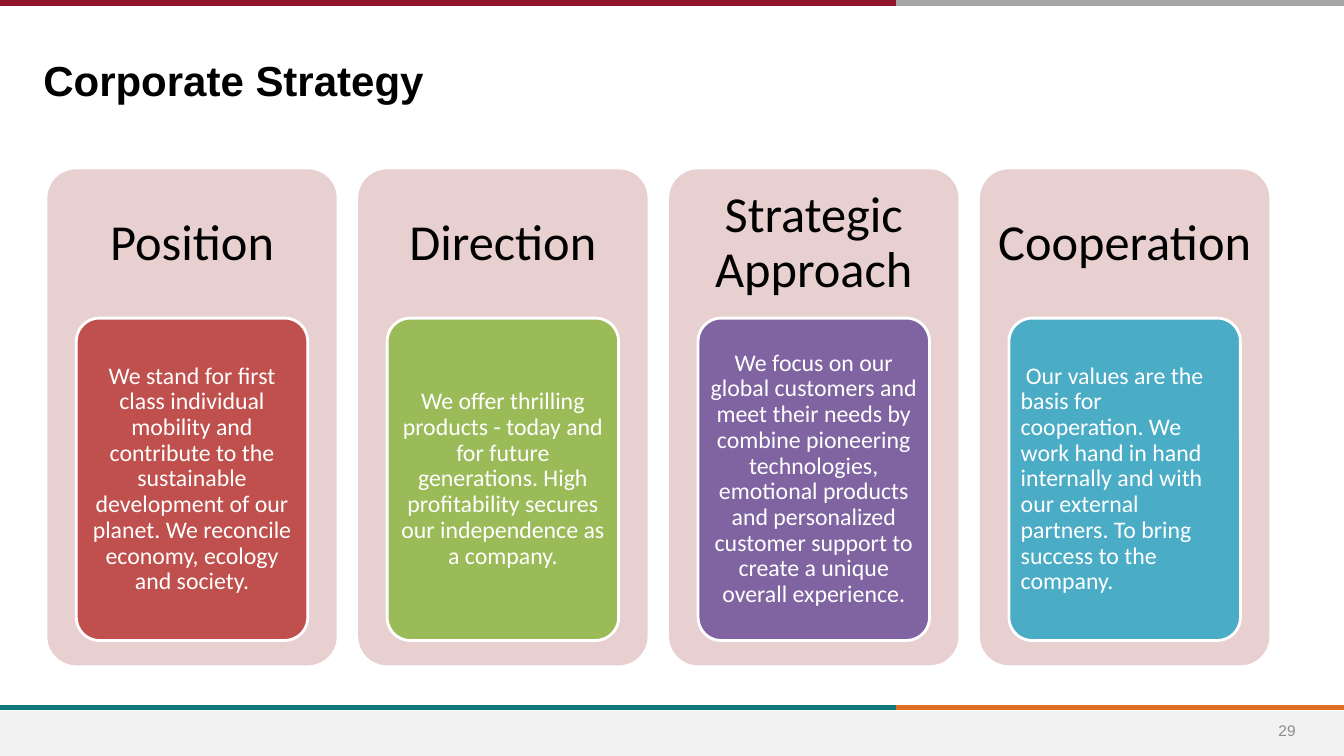
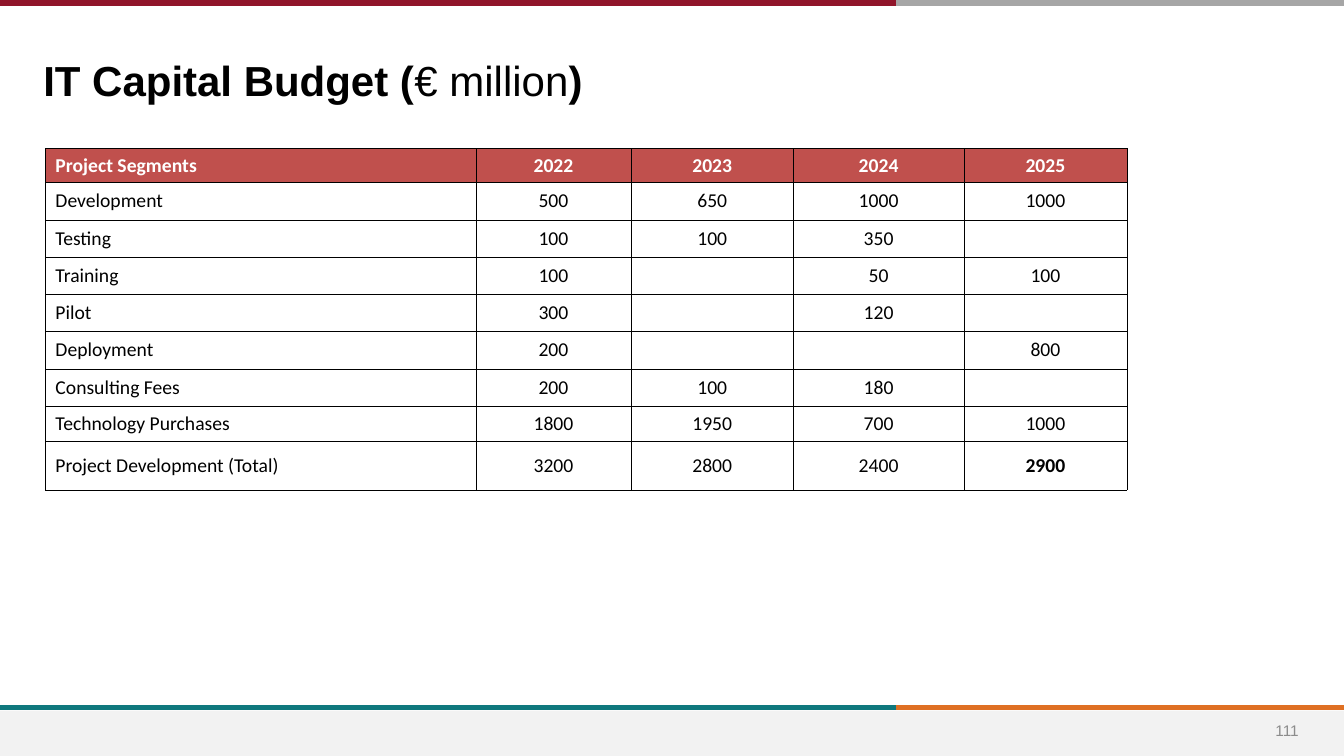
from lxml import etree
from pptx import Presentation
from pptx.dml.color import RGBColor
from pptx.enum.shapes import MSO_CONNECTOR, MSO_SHAPE
from pptx.enum.text import MSO_ANCHOR, MSO_AUTO_SIZE, PP_ALIGN
from pptx.oxml.ns import qn
from pptx.util import Inches, Pt

RECTANGLE = MSO_SHAPE.RECTANGLE
ROUNDED = MSO_SHAPE.ROUNDED_RECTANGLE
STRAIGHT = MSO_CONNECTOR.STRAIGHT
LEFT, CENTER = PP_ALIGN.LEFT, PP_ALIGN.CENTER
TOP, MIDDLE = MSO_ANCHOR.TOP, MSO_ANCHOR.MIDDLE
NO_AUTOFIT = MSO_AUTO_SIZE.NONE

WIDTH, HEIGHT = 13.33, 7.5
TITLE_ONLY = 5
COLORS = {
    "black": "000000", "white": "FFFFFF", "footer": "F2F2F2", "number": "8C8C8C",
    "orange": "DF7023", "teal": "0F787D", "gray": "A6A6A6", "crimson": "90152A",
    "panel": "E8D0D0", "red": "C0504D", "green": "9BBB59", "purple": "8064A2", "blue": "4BACC6",
}

# Heading, tile colour, alignment, first-line indent, text
STRATEGIES = [
    ("Position", "red", CENTER, 0,
     "We stand for first class individual mobility and contribute to the sustainable "
     "development of our planet. We reconcile economy, ecology and society."),
    ("Direction", "green", CENTER, 0,
     "We offer thrilling products - today and for future generations. High profitability "
     "secures our independence as a company."),
    ("Strategic Approach", "purple", CENTER, 0,
     "We focus on our global customers and meet their needs by combine pioneering "
     "technologies, emotional products and personalized customer support to create a "
     "unique overall experience."),
    ("Cooperation", "blue", LEFT, 0.05,
     "Our values are the basis for cooperation. We work hand in hand internally and with "
     "our external partners. To bring success to the company."),
]

BUDGET = [
    ("Project Segments", "2022", "2023", "2024", "2025"),
    ("Development", "500", "650", "1000", "1000"),
    ("Testing", "100", "100", "350", ""),
    ("Training", "100", "", "50", "100"),
    ("Pilot", "300", "", "120", ""),
    ("Deployment", "200", "", "", "800"),
    ("Consulting Fees", "200", "100", "180", ""),
    ("Technology Purchases", "1800", "1950", "700", "1000"),
    ("Project Development (Total)", "3200", "2800", "2400", "2900"),
]
COLUMN_WIDTHS = [4.27, 1.54, 1.61, 1.69, 1.62]
ROW_HEIGHTS = [0.34] + [0.37] * 6 + [0.35, 0.48]


def color(name):
    return RGBColor.from_string(COLORS[name])


def format_paragraph(paragraph, size, color_name, font="Calibri", bold=False, align=CENTER):
    paragraph.alignment = align
    paragraph.font.name = font
    paragraph.font.size = Pt(size)
    paragraph.font.bold = bold
    paragraph.font.color.rgb = color(color_name)


def set_frame(frame, anchor, horizontal, vertical):
    frame.word_wrap = True
    frame.auto_size = NO_AUTOFIT
    frame.vertical_anchor = anchor
    frame.margin_left = frame.margin_right = Inches(horizontal)
    frame.margin_top = frame.margin_bottom = Inches(vertical)


def add_box(slide, kind, box, fill):
    shape = slide.shapes.add_shape(kind, *map(Inches, box))
    shape.shadow.inherit = False
    shape.fill.solid()
    shape.fill.fore_color.rgb = color(fill)
    shape.line.fill.background()
    if kind == ROUNDED:
        shape.adjustments[0] = 0.1
    return shape


def add_text(slide, box, text, size, color_name, font="Calibri", inset=0.1):
    shape = slide.shapes.add_textbox(*map(Inches, box))
    set_frame(shape.text_frame, MIDDLE, inset, min(inset, 0.15))
    paragraph = shape.text_frame.paragraphs[0]
    paragraph.text = text
    format_paragraph(paragraph, size, color_name, font)
    return paragraph


def add_rule(slide, start, end, y, color_name):
    line = slide.shapes.add_connector(
        STRAIGHT, Inches(start), Inches(y), Inches(end), Inches(y))
    line.line.color.rgb = color(color_name)
    line.line.width = Pt(4)
    etree.SubElement(line._element.spPr, qn("a:effectLst"))


def add_base_slide(presentation, title_runs, number):
    """Slide with bands, page number and title; title_runs holds (text, bold) pairs."""
    slide = presentation.slides.add_slide(presentation.slide_layouts[TITLE_ONLY])

    # Footer band and the two-tone rules
    add_box(slide, RECTANGLE, (0, 7.05, WIDTH, 0.45), "footer")
    split = 8.89
    for y, left_color, right_color in ((7.02, "teal", "orange"), (0.03, "crimson", "gray")):
        add_rule(slide, split, WIDTH, y, right_color)
        add_rule(slide, 0, split, y, left_color)
    add_text(slide, (12.42, 7.05, 0.69, 0.4), number, 11, "number", "Arial")

    # Title
    title = slide.shapes.title
    title.left, title.top, title.width, title.height = map(Inches, (0.33, 0.46, 10.65, 0.59))
    set_frame(title.text_frame, TOP, 0.1, 0.08)
    paragraph = title.text_frame.paragraphs[0]
    format_paragraph(paragraph, 30, "black", "Arial", True, LEFT)
    for text, bold in title_runs:
        run = paragraph.add_run()
        run.text = text
        run.font.bold = bold
    return slide


def add_strategy_panel(slide, box, heading, tile_color, align, indent, text):
    left, top, width, height = box
    add_box(slide, ROUNDED, box, "panel")
    heading_height = height * 0.3
    heading_box = (left, top, width, heading_height)
    add_text(slide, heading_box, heading, 36, "black", inset=0.15).line_spacing = 0.9

    # Coloured tile under the heading
    tile_box = (left + width * 0.1, top + heading_height, width * 0.8, height * 0.65)
    tile = add_box(slide, ROUNDED, tile_box, tile_color)
    tile.line.color.rgb = color("white")
    tile.line.width = Pt(2)
    set_frame(tile.text_frame, MIDDLE, 0.05, 0.04)
    paragraph = tile.text_frame.paragraphs[0]
    paragraph.text = text
    if indent:
        paragraph._p.get_or_add_pPr().set("indent", str(Inches(indent)))
    format_paragraph(paragraph, 17, "white", align=align)
    paragraph.line_spacing = 0.9


def add_strategy_panels(slide, box):
    left, top, width, height = box
    panel_width = 2.87
    step = (width - panel_width) / (len(STRATEGIES) - 1)
    for index, strategy in enumerate(STRATEGIES):
        panel_box = (left + index * step, top, panel_width, height)
        add_strategy_panel(slide, panel_box, *strategy)


def add_borders(cell):
    properties = cell._tc.get_or_add_tcPr()
    for side in ("L", "R", "T", "B"):
        border = etree.SubElement(properties, qn(f"a:ln{side}"), w=str(Pt(0.25)))
        fill = etree.SubElement(border, qn("a:solidFill"))
        etree.SubElement(fill, qn("a:srgbClr"), val=COLORS["black"])


def add_budget_table(slide, left, top):
    table = slide.shapes.add_table(
        len(BUDGET), len(COLUMN_WIDTHS), Inches(left), Inches(top),
        Inches(sum(COLUMN_WIDTHS)), Inches(sum(ROW_HEIGHTS))).table
    for column, width in zip(table.columns, COLUMN_WIDTHS):
        column.width = Inches(width)
    for row, height in zip(table.rows, ROW_HEIGHTS):
        row.height = Inches(height)

    last_cell = (len(BUDGET) - 1, len(COLUMN_WIDTHS) - 1)
    for row_index, values in enumerate(BUDGET):
        header = row_index == 0
        for column_index, value in enumerate(values):
            cell = table.cell(row_index, column_index)
            add_borders(cell)
            cell.fill.solid()
            cell.fill.fore_color.rgb = color("red" if header else "white")
            cell.vertical_anchor = MIDDLE
            cell.margin_top = cell.margin_bottom = Inches(0.03)
            paragraph = cell.text_frame.paragraphs[0]
            paragraph.text = value
            format_paragraph(
                paragraph, 14, "white" if header else "black",
                bold=header or (row_index, column_index) == last_cell,
                align=CENTER if column_index else LEFT)


def main():
    presentation = Presentation()
    presentation.slide_width = Inches(WIDTH)
    presentation.slide_height = Inches(HEIGHT)

    strategy_slide = add_base_slide(presentation, [("Corporate Strategy", True)], "29")
    add_strategy_panels(strategy_slide, (0.47, 1.68, 12.12, 4.92))

    budget_title = [("IT Capital Budget (", True), ("€ million", False), (")", True)]
    budget_slide = add_base_slide(presentation, budget_title, "111")
    add_budget_table(budget_slide, 0.45, 1.47)

    presentation.save("out.pptx")


if __name__ == "__main__":
    main()
